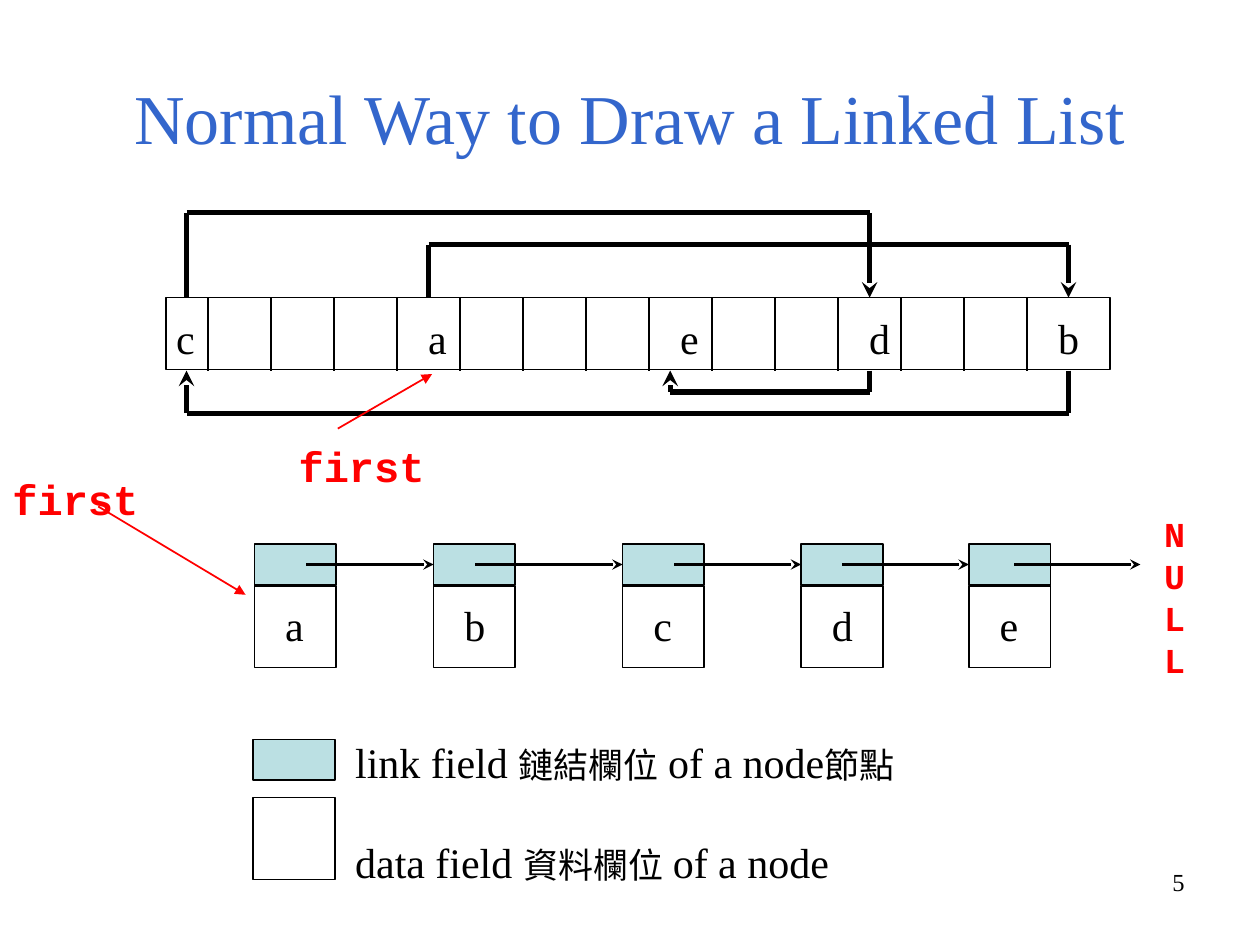
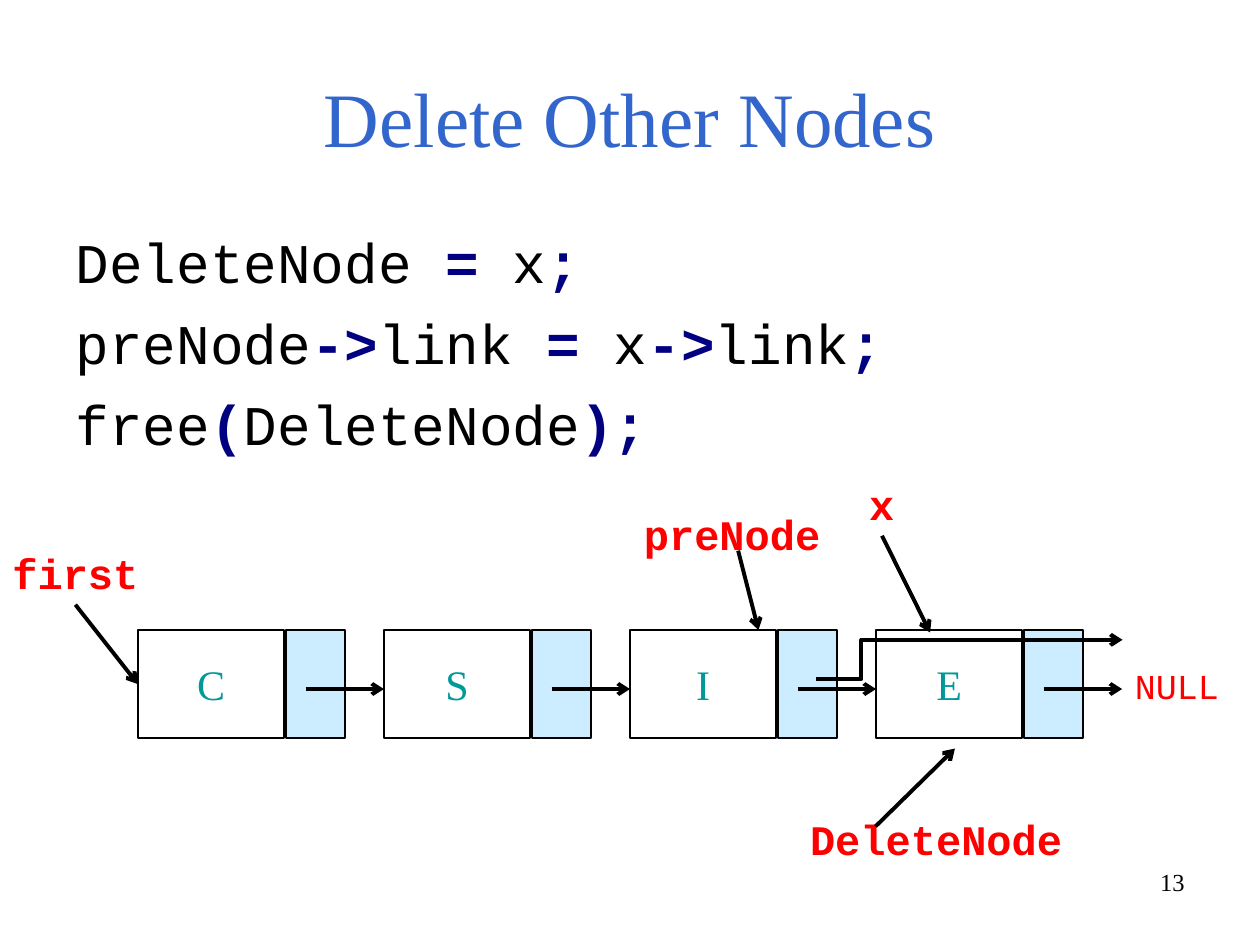
from itertools import pairwise

from lxml.etree import SubElement
from pptx import Presentation
from pptx.dml.color import RGBColor
from pptx.enum.shapes import MSO_CONNECTOR, MSO_SHAPE
from pptx.enum.text import MSO_ANCHOR, PP_ALIGN
from pptx.oxml.ns import qn
from pptx.util import Cm, Pt

SERIF = "Times New Roman"
MONO = "Courier New"
BLACK = "000000"
RED = "FF0000"
TITLE_BLUE = "3366CC"
OPERATOR_NAVY = "000080"
LETTER_TEAL = "009999"
LINK_TEAL = "BBE0E3"
LINK_BLUE = "CCECFF"
rgb = RGBColor.from_string


def add_box(slide, left, top, width, height, text="", font=SERIF, size=24, color=BLACK,
            bold=False, align=PP_ALIGN.LEFT, outlined=False, fill=None):
    area = Cm(left), Cm(top), Cm(width), Cm(height)
    if outlined:
        box = slide.shapes.add_shape(MSO_SHAPE.RECTANGLE, *area)
        box.shadow.inherit = False
        box.line.color.rgb = rgb(BLACK)
        box.line.width = Pt(1)
        if fill:
            box.fill.solid()
            box.fill.fore_color.rgb = rgb(fill)
        else:
            box.fill.background()
    else:
        box = slide.shapes.add_textbox(*area)
    box.text_frame.word_wrap = True
    paragraph = box.text_frame.paragraphs[0]
    paragraph.text = text
    paragraph.alignment = align
    paragraph.font.name = font
    paragraph.font.size = Pt(size)
    paragraph.font.bold = bold
    paragraph.font.color.rgb = rgb(color)
    return box


def add_line(slide, start, end, width, arrow=None, color=BLACK, kind=MSO_CONNECTOR.STRAIGHT):
    line = slide.shapes.add_connector(kind, *map(Cm, start + end))
    line.line.color.rgb = rgb(color)
    line.line.width = Pt(width)
    if arrow:
        SubElement(line.line._get_or_add_ln(), qn("a:tailEnd"), type=arrow)
    SubElement(line._element.spPr, qn("a:effectLst"))
    return line


deck = Presentation()
deck.slide_width, deck.slide_height = Cm(25.4), Cm(19.05)

drawing = deck.slides.add_slide(deck.slide_layouts[5])
deletion = deck.slides.add_slide(deck.slide_layouts[1])

for slide, heading, size, number in (
    (drawing, "Normal Way to Draw a Linked List", 40, "5"),
    (deletion, "Delete Other Nodes", 44, "13"),
):
    title = slide.shapes.title
    title.left, title.top, title.width, title.height = Cm(1.27), Cm(0.76), Cm(22.86), Cm(3.18)
    title.text_frame.text = heading
    title.text_frame.vertical_anchor = MSO_ANCHOR.MIDDLE
    paragraph = title.text_frame.paragraphs[0]
    paragraph.alignment = PP_ALIGN.CENTER
    paragraph.font.name = SERIF
    paragraph.font.size = Pt(size)
    paragraph.font.color.rgb = rgb(TITLE_BLUE)
    add_box(slide, 18.21, 17.35, 5.92, 1.32, number, size=14, align=PP_ALIGN.RIGHT)

# Slide 5
memory_top, memory_bottom = 6, 7.47
add_box(drawing, 3.35, memory_top, 19.03, 1.45, outlined=True)
for cell in range(14):
    divider = 4.19 + 1.27 * cell
    add_line(drawing, (divider, memory_top), (divider, memory_bottom), 1)
for letter, left in (("c", 3.3), ("a", 8.38), ("e", 13.46), ("d", 17.27), ("b", 21.08)):
    add_box(drawing, left, 6.17, 0.95, 1.27, letter)

c_x, a_x, e_x, d_x, b_x = 3.76, 8.64, 13.51, 17.53, 21.54
for source, target, edge, lane in (
    (a_x, b_x, memory_top, 4.93),
    (b_x, c_x, memory_bottom, 8.33),
    (c_x, d_x, memory_top, 4.29),
    (d_x, e_x, memory_bottom, 7.9),
):
    route = [(source, edge), (source, lane), (target, lane), (target, edge)]
    for start, end in pairwise(route):
        add_line(drawing, start, end, 3, "stealth" if end == route[-1] else None)

node_lefts = [5.13, 8.74, 12.55, 16.15, 19.53]
pointer_starts = [6.17, 9.58, 13.59, 16.97, 20.45]
pointer_ends = node_lefts[1:] + [22.99]
for letter, left, start, end in zip("abcde", node_lefts, pointer_starts, pointer_ends):
    add_box(drawing, left, 11.81, 1.65, 1.65, outlined=True)
    add_box(drawing, left, 10.97, 1.65, 0.82, outlined=True, fill=LINK_TEAL)
    add_box(drawing, left + 0.37, 11.96, 0.95, 1.27, letter)
    add_line(drawing, (start, 11.38), (end, 11.38), 2, "stealth")

for left, top, start, end in (
    (0, 9.42, (1.98, 10.21), (4.95, 11.99)),
    (5.77, 8.76, (6.81, 8.64), (8.71, 7.54)),
):
    add_box(drawing, left, top, 4.65, 1.27, "first", MONO, color=RED, bold=True)
    add_line(drawing, start, end, 1, "triangle", RED)
add_box(drawing, 23.22, 10.21, 1.19, 3.66, "NULL", MONO, 20, RED, True)

for swatch_top, swatch_height, fill, text_top, parts in (
    (14.91, 0.82, LINK_TEAL, 14.73,
     (("link field ", 24), ("鏈結欄位", 20), (" of a node", 24), ("節點", 20))),
    (16.08, 1.65, None, 16.74,
     (("data field ", 24), ("資料欄位", 20), (" of a node", 24))),
):
    add_box(drawing, 5.1, swatch_top, 1.65, swatch_height, outlined=True, fill=fill)
    legend = add_box(drawing, 6.91, text_top, 13.97, 1.27)
    for text, size in parts:
        run = legend.text_frame.paragraphs[0].add_run()
        run.text = text
        run.font.size = Pt(size)

# Slide 13
code = deletion.placeholders[1]
code.left, code.top, code.width, code.height = Cm(1.27), Cm(4.45), Cm(22.86), Cm(12.57)
statements = (
    ("DeleteNode ", "=", " x", ";"),
    ("preNode", "->", "link ", "=", " x", "->", "link", ";"),
    ("free", "(", "DeleteNode", ");"),
)
for row, tokens in enumerate(statements):
    paragraph = code.text_frame.add_paragraph() if row else code.text_frame.paragraphs[0]
    properties = paragraph._p.get_or_add_pPr()
    properties.set("marL", "0")
    properties.set("indent", "0")
    SubElement(properties, qn("a:buNone"))
    paragraph.space_before = Pt(8 if row else 0)
    paragraph.font.name = MONO
    paragraph.font.size = Pt(32)
    for position, token in enumerate(tokens):
        is_operator = position % 2 == 1
        run = paragraph.add_run()
        run.text = token
        run.font.bold = is_operator
        run.font.color.rgb = rgb(OPERATOR_NAVY if is_operator else BLACK)

node_pitch = 4.96
for index, letter in enumerate("CSIE"):
    left = 2.78 + node_pitch * index
    add_box(deletion, left + 2.98, 12.7, 1.2, 2.18, outlined=True, fill=LINK_BLUE)
    node = add_box(deletion, left, 12.7, 2.95, 2.18, letter, color=LETTER_TEAL,
                   align=PP_ALIGN.CENTER, outlined=True)
    node.text_frame.vertical_anchor = MSO_ANCHOR.MIDDLE
    add_line(deletion, (left + 3.38, 13.89), (left + node_pitch, 13.89), 2.25, "arrow")
add_box(deletion, 22.63, 13.28, 2.7, 1.12, "NULL", MONO, 20, RED)

for pointer, left, top, width, start, end in (
    ("first", 0, 10.92, 3.2, (1.52, 12.19), (2.78, 13.79)),
    ("DeleteNode", 16.08, 16.28, 5.8, (17.65, 16.66), (19.25, 15.09)),
    ("x", 17.27, 9.53, 1.2, (17.78, 10.8), (18.75, 12.75)),
    ("preNode", 12.73, 10.13, 4.3, (14.88, 11.1), (15.29, 12.7)),
):
    add_box(deletion, left, top, width, 1.27, pointer, MONO, color=RED, bold=True)
    add_line(deletion, start, end, 2.25, "arrow")

bypass = add_line(deletion, (16.46, 13.69), (22.63, 12.9), 2.25, "arrow", kind=MSO_CONNECTOR.ELBOW)
adjustments = bypass._element.spPr.find(qn("a:prstGeom")).get_or_add_avLst()
SubElement(adjustments, qn("a:gd"), name="adj1", fmla="val 14700")

deck.save("out.pptx")
